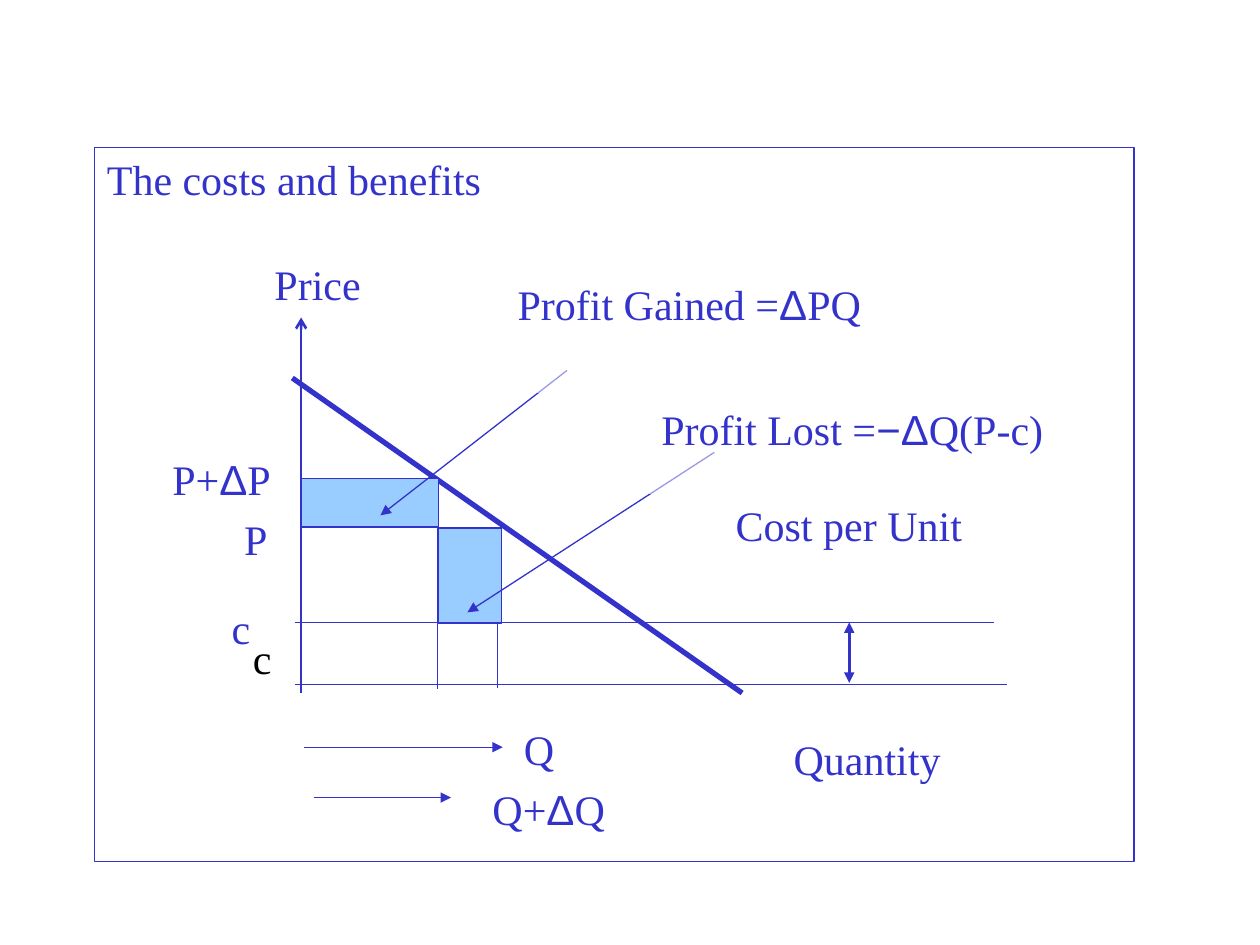
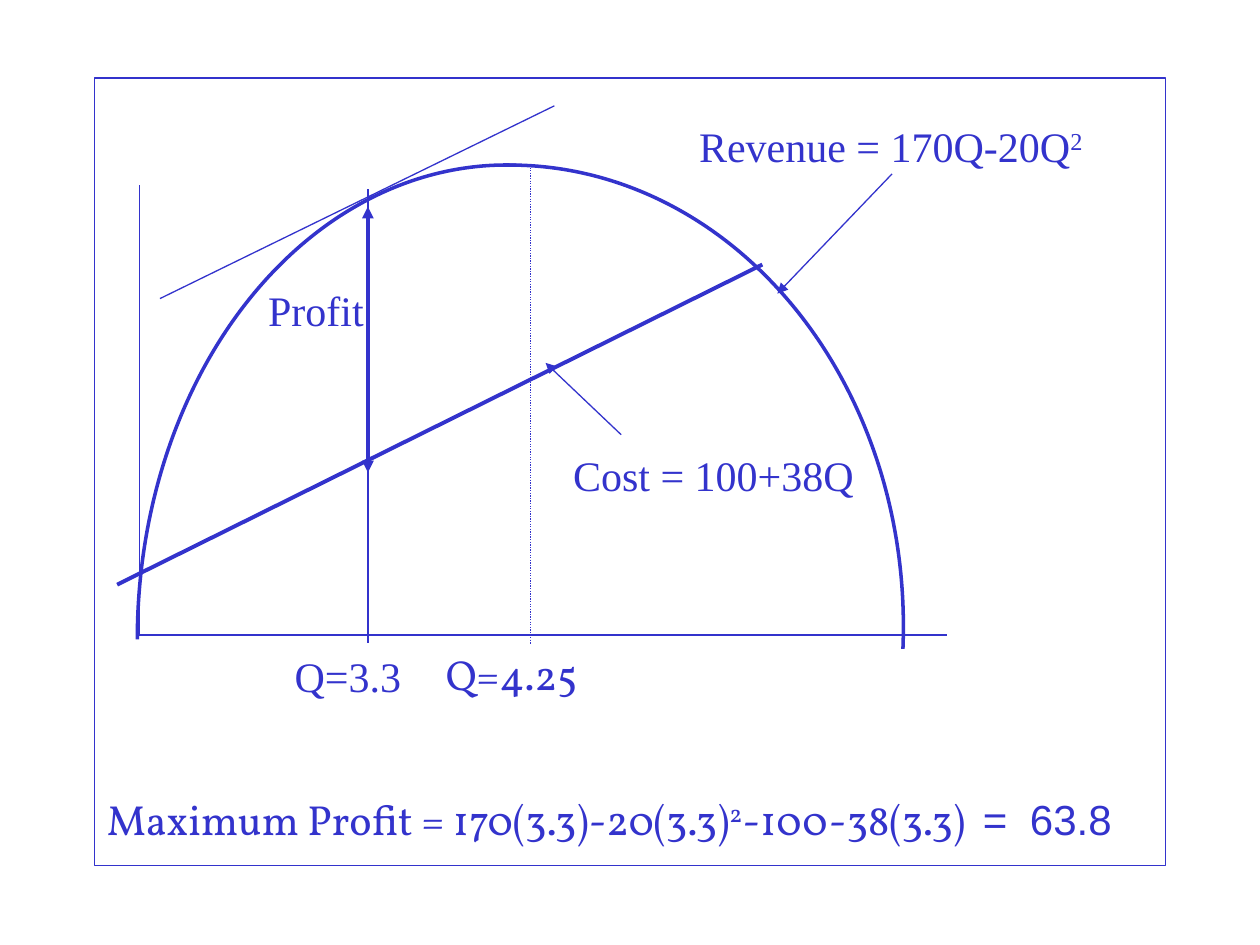
from lxml import etree
from pptx import Presentation
from pptx.dml.color import RGBColor
from pptx.enum.dml import MSO_LINE
from pptx.enum.shapes import MSO_CONNECTOR, MSO_SHAPE
from pptx.enum.text import MSO_ANCHOR, PP_ALIGN
from pptx.oxml.ns import qn
from pptx.util import Pt

BLUE = RGBColor(0x33, 0x33, 0xCC)
PALE_BLUE = RGBColor(0x99, 0xCC, 0xFF)
WHITE = RGBColor(0xFF, 0xFF, 0xFF)
BLACK = RGBColor(0, 0, 0)
SERIF, SANS, BOOK = "Times New Roman", "Arial", "Vollkorn"
TEXT_SIZE = 24
THIN = 0.75
ARC_UNITS_PER_DEGREE = 0.6
TO_END = {"tailEnd": "triangle"}
BOTH_ENDS = {"headEnd": "triangle", "tailEnd": "triangle"}

PRICE_AXIS, COST_LEVEL, QUANTITY_AXIS = 172.08, 355.68, 390.96
COST_CHART_FRAME = (54, 84.24, 594, 408.24)
COST_CHART_TITLE = [("The costs and benefits", SERIF)]
COST_CHART_LINES = [
    ((PRICE_AXIS, 181.44), (PRICE_AXIS, 396), 1.5, {"headEnd": "arrow"}),
    ((167.04, 216), (424.08, 396), 3, {}),
    ((284.4, 303.12), (284.4, 393.12), THIN, {}),
    ((249.84, 275.76), (249.84, 393.84), THIN, {}),
]
PROFIT_AREAS = [(250.56, 301.68, 36, 54.72), (PRICE_AXIS, 273.6, 78.48, 27.6)]
COST_CHART_POINTERS = [
    ((324, 211.68), (217.44, 294.48), THIN, TO_END),
    ((408.24, 258.48), (267.12, 349.92), THIN, TO_END),
    ((168.48, QUANTITY_AXIS), (575.28, QUANTITY_AXIS), THIN, {}),
    ((168.48, COST_LEVEL), (568.08, COST_LEVEL), THIN, {}),
    ((485.28, COST_LEVEL), (485.28, 390.24), 1.5, BOTH_ENDS),
    ((173.52, 426.96), (287.28, 426.96), THIN, TO_END),
    ((179.28, 455.76), (257.76, 455.76), THIN, TO_END),
]
COST_CHART_LABELS = [
    ((446.4, 415.44, 100.08, 34.56), [("Quantity", SERIF)], {"opacity": 100}),
    ((149.76, 144, 185.76, 34.56), [("Price", SERIF)], {"opacity": 100}),
    ((292.32, 409.68, 49.68, 40.32), [("Q", SERIF)], {"opacity": 100}),
    ((274.32, 444.24, 178.56, 41.76), [("Q+", SERIF), ("Δ", SANS), ("Q", SERIF)], {}),
    ((132.48, 290.16, 28.8, 34.56), [("P", SERIF)], {}),
    ((91.44, 255.6, 77.04, 29.52), [("P+", SERIF), ("Δ", SANS), ("P", SERIF)], {}),
    ((370.8, 226.8, 235.44, 55.44),
     [("Profit Lost =", SERIF), ("−Δ", SANS), ("Q(P-c)", SERIF)], {"opacity": 50}),
    ((288.72, 155.52, 257.04, 69.12),
     [("Profit Gained =", SERIF), ("Δ", SANS), ("PQ", SERIF)], {"opacity": 50}),
    ((413.28, 281.7, 185.76, 41.76), [("Cost per Unit", SERIF)], {}),
    ((137.52, 357.84, 14.4, 36), [("c", SERIF)], {"color": BLACK, "wrap": False}),
    ((125.28, 340.56, 36, 36), [("c", SERIF)], {}),
]

BEST_QUANTITY, PEAK_QUANTITY = 210.24, 303.12
PROFIT_CHART_FRAME = (54, 44.64, 612, 450)
PROFIT_CHART_RESULT = [
    ("Maximum Profit = 170(3.3)-20(3.3)", BOOK), ("2", BOOK, 30),
    ("-100-38(3.3)", BOOK), ("\t=\t63.8", SANS),
]
RESULT_STYLE = {"tabs": (500.5, 527.5), "margin_top": 408.5}
REVENUE_ARCS = [
    ((78.48, 94.32, 421.92, 542.16), 180, 271.2),
    ((66.24, 94.32, 450, 527.04), 269.6, 3.3),
]
PROFIT_CHART_LINES = [
    ((BEST_QUANTITY, 108), (BEST_QUANTITY, 367.2), THIN, {}),
    ((77.76, 362.88), (541.44, 362.88), THIN, {}),
    ((66.96, 334.08), (435.6, 151.2), 2.25, {}),
    ((509.76, 99.36), (444.24, 167.76), THIN, TO_END),
    ((354.96, 248.4), (311.76, 207.36), THIN, TO_END),
    ((PEAK_QUANTITY, 94.32), (PEAK_QUANTITY, 367.92), THIN, {"dash": MSO_LINE.ROUND_DOT}),
    ((BEST_QUANTITY, 118.08), (BEST_QUANTITY, 270), 2.25, BOTH_ENDS),
    ((79.92, 363.6), (79.92, 105.84), THIN, {}),
    ((91.44, 170.64), (316.8, 60.48), THIN, {}),
]
PROFIT_CHART_LABELS = [
    ((247.68, 367.2, 136.8, 29.52), [("Q=4.25", BOOK)], {}),
    ((392.4, 65.52, 244.8, 36), [("Revenue = 170Q-20Q", SERIF), ("2", SERIF, 30)], {}),
    ((320.4, 253.44, 194.4, 30.24), [("Cost = 100+38Q", SERIF)], {}),
    ((146.16, 159.12, 230.4, 54), [("Profit", SERIF)], {}),
    ((161.28, 367.92, 80.64, 36), [("Q=3.3", SERIF)], {}),
]


def points(values):
    return [Pt(value) for value in values]


def add_line(slide, start, end, width, style):
    connector = slide.shapes.add_connector(MSO_CONNECTOR.STRAIGHT, *points(start + end))
    connector.line.color.rgb = BLUE
    connector.line.width = Pt(width)
    if "dash" in style:
        connector.line.dash_style = style["dash"]
    line = connector.line._get_or_add_ln()
    for end_tag in ("headEnd", "tailEnd"):
        if end_tag in style:
            etree.SubElement(line, qn(f"a:{end_tag}"), type=style[end_tag])
    etree.SubElement(connector._element.spPr, qn("a:effectLst"))


def add_outline(slide, preset, box, width, fill=None):
    shape = slide.shapes.add_shape(preset, *points(box))
    shape.shadow.inherit = False
    shape.line.color.rgb = BLUE
    shape.line.width = Pt(width)
    if fill is None:
        shape.fill.background()
    else:
        shape.fill.solid()
        shape.fill.fore_color.rgb = fill
    return shape


def write_text(shape, runs, style):
    frame = shape.text_frame
    frame.word_wrap = style.get("wrap", True)
    frame.vertical_anchor = MSO_ANCHOR.TOP
    if "margin_top" in style:
        frame.margin_top = Pt(style["margin_top"])
    paragraph = frame.paragraphs[0]
    paragraph.alignment = PP_ALIGN.LEFT
    if "tabs" in style:
        tab_list = etree.SubElement(paragraph._p.get_or_add_pPr(), qn("a:tabLst"))
        for position in style["tabs"]:
            etree.SubElement(tab_list, qn("a:tab"), pos=str(Pt(position)), algn="l")
    for text, font_name, *raised in runs:
        run = paragraph.add_run()
        run.text = text
        run.font.name = font_name
        run.font.size = Pt(TEXT_SIZE)
        run.font.color.rgb = style.get("color", BLUE)
        if raised:
            run._r.get_or_add_rPr().set("baseline", str(raised[0] * 1000))


def add_label(slide, box, runs, style):
    shape = slide.shapes.add_textbox(*points(box))
    if "opacity" in style:
        shape.fill.solid()
        shape.fill.fore_color.rgb = WHITE
        color = shape._element.spPr.find(qn("a:solidFill"))[0]
        etree.SubElement(color, qn("a:alpha"), val=str(style["opacity"] * 1000))
    write_text(shape, runs, style)


def add_frame(slide, box, runs, style):
    frame_shape = add_outline(slide, MSO_SHAPE.RECTANGLE, box, THIN)
    write_text(frame_shape, runs, style)


def add_arc(slide, box, *angles):
    arc = add_outline(slide, MSO_SHAPE.ARC, box, 2)
    for index, angle in enumerate(angles):
        arc.adjustments[index] = angle * ARC_UNITS_PER_DEGREE


def add_cost_chart(slide):
    for line in COST_CHART_LINES:
        add_line(slide, *line)
    for area in PROFIT_AREAS:
        add_outline(slide, MSO_SHAPE.RECTANGLE, area, THIN, PALE_BLUE)
    for line in COST_CHART_POINTERS:
        add_line(slide, *line)
    for label in COST_CHART_LABELS:
        add_label(slide, *label)
    add_frame(slide, COST_CHART_FRAME, COST_CHART_TITLE, {})


def add_profit_chart(slide):
    add_frame(slide, PROFIT_CHART_FRAME, PROFIT_CHART_RESULT, RESULT_STYLE)
    for arc in REVENUE_ARCS:
        add_arc(slide, *arc)
    for line in PROFIT_CHART_LINES:
        add_line(slide, *line)
    for label in PROFIT_CHART_LABELS:
        add_label(slide, *label)


def main():
    presentation = Presentation()
    presentation.slide_width = Pt(720)
    presentation.slide_height = Pt(540)
    for add_content in (add_cost_chart, add_profit_chart):
        add_content(presentation.slides.add_slide(presentation.slide_layouts[6]))
    presentation.save("out.pptx")


if __name__ == "__main__":
    main()
